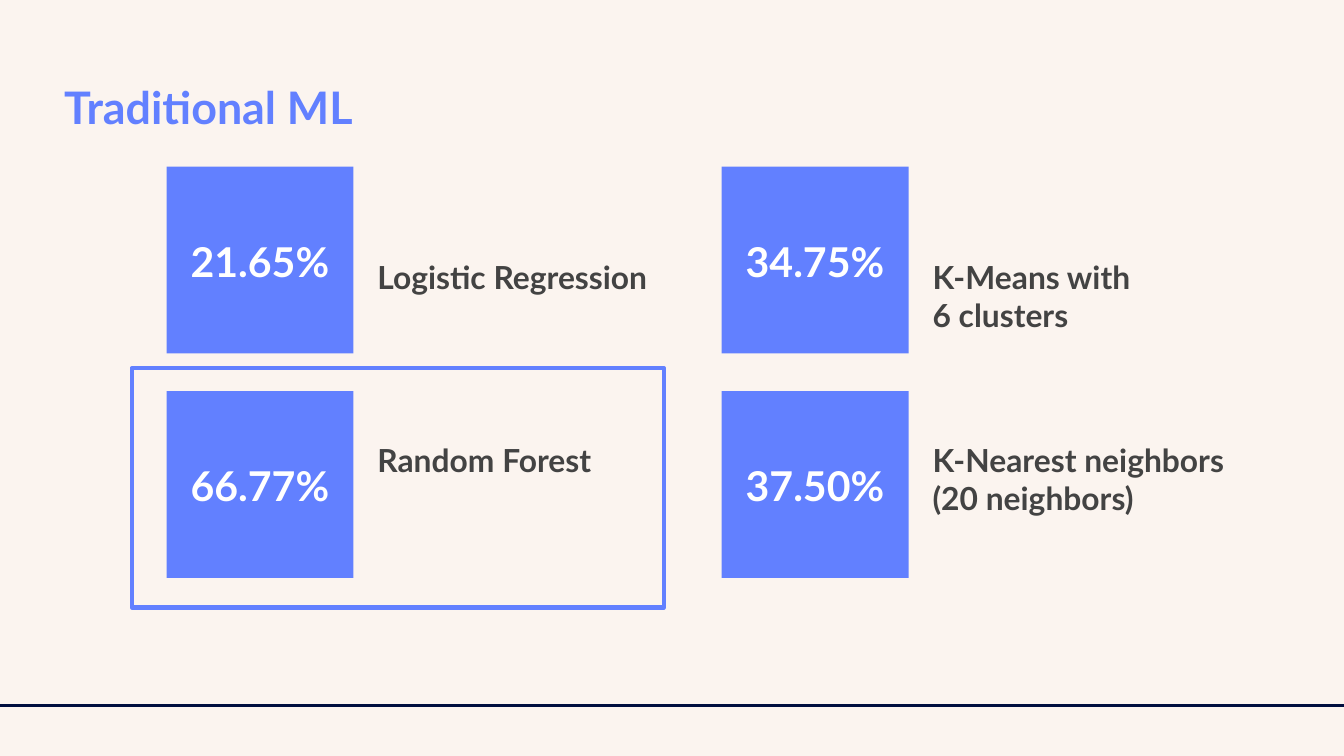
from lxml import etree
from pptx import Presentation
from pptx.dml.color import RGBColor
from pptx.enum.shapes import MSO_CONNECTOR, MSO_SHAPE
from pptx.oxml.ns import qn
from pptx.util import Inches, Pt

RECT = MSO_SHAPE.RECTANGLE
STRAIGHT = MSO_CONNECTOR.STRAIGHT


def rgb(value):
    return RGBColor.from_string(value)


class SlideBuilder:
    FONT = "Lato"
    CREAM, BLUE, NAVY = "FBF4EF", "6280FF", "000E3F"
    GRAY, WHITE = "434343", "FFFFFF"

    def __init__(self, slide):
        self.s = slide
        fill = slide.background.fill
        fill.solid()
        fill.fore_color.rgb = rgb(self.CREAM)

    def text(self, x, y, w, h, text, size, color, spacing=None):
        tf = self.s.shapes.add_textbox(Inches(x), Inches(y), Inches(w), Inches(h)).text_frame
        tf.word_wrap = True
        tf.margin_left = tf.margin_right = Inches(0.1)
        tf.margin_top = tf.margin_bottom = Inches(0.1)
        p = tf.paragraphs[0]
        p.text = text
        if spacing:
            p.line_spacing = spacing
        p.font.name = self.FONT
        p.font.size = Pt(size)
        p.font.bold = True
        p.font.color.rgb = rgb(color)

    def rect(self, x, y, w, h, fill=None, line=None, weight=2.25):
        sp = self.s.shapes.add_shape(RECT, Inches(x), Inches(y), Inches(w), Inches(h))
        sp.shadow.inherit = False
        if fill:
            sp.fill.solid()
            sp.fill.fore_color.rgb = rgb(fill)
        else:
            sp.fill.background()
        if line:
            sp.line.color.rgb = rgb(line)
            sp.line.width = Pt(weight)
        else:
            sp.line.fill.background()

    def line(self, x1, y1, x2, y2, color, weight):
        cxn = self.s.shapes.add_connector(STRAIGHT, Inches(x1), Inches(y1), Inches(x2), Inches(y2))
        cxn.line.color.rgb = rgb(color)
        cxn.line.width = Pt(weight)
        etree.SubElement(cxn._element.spPr, qn("a:effectLst"))

    def score(self, x, y, label_y, value, label):
        """A square with its accuracy, and the model name to its right."""
        self.rect(x, y, 1.39, 1.39, fill=self.BLUE)
        self.text(x + 0.08, y + 0.42, 1.39, 0.57, value, 22, self.WHITE)
        self.text(x + 1.47, label_y, 2.52, 0.59, label, 17, self.GRAY)


def main():
    # Widescreen 16:9 page
    prs = Presentation()
    prs.slide_width = Inches(10)
    prs.slide_height = prs.slide_width * 9 // 16
    b = SlideBuilder(prs.slides.add_slide(prs.slide_layouts[6]))

    # Footer rule and title
    b.line(0, 5.25, 10, 5.25, b.NAVY, 1.5)
    b.text(0.38, 0.43, 5.4, 0.61, "Traditional ML", 24, b.BLUE, spacing=1.15)

    # Model scores, two by two
    columns = (1.24, 5.37)
    rows = (
        (1.24, 1.82, (("21.65%", "Logistic Regression"),
                      ("34.75%", "K-Means with\n6 clusters"))),
        (2.91, 3.18, (("66.77%", "Random Forest"),
                      ("37.50%", "K-Nearest neighbors\n(20 neighbors)"))),
    )
    for y, label_y, models in rows:
        for x, (value, label) in zip(columns, models):
            b.score(x, y, label_y, value, label)

    # Frame around the best model
    b.rect(0.98, 2.74, 3.96, 1.78, line=b.BLUE)

    prs.save("out.pptx")


if __name__ == "__main__":
    main()
